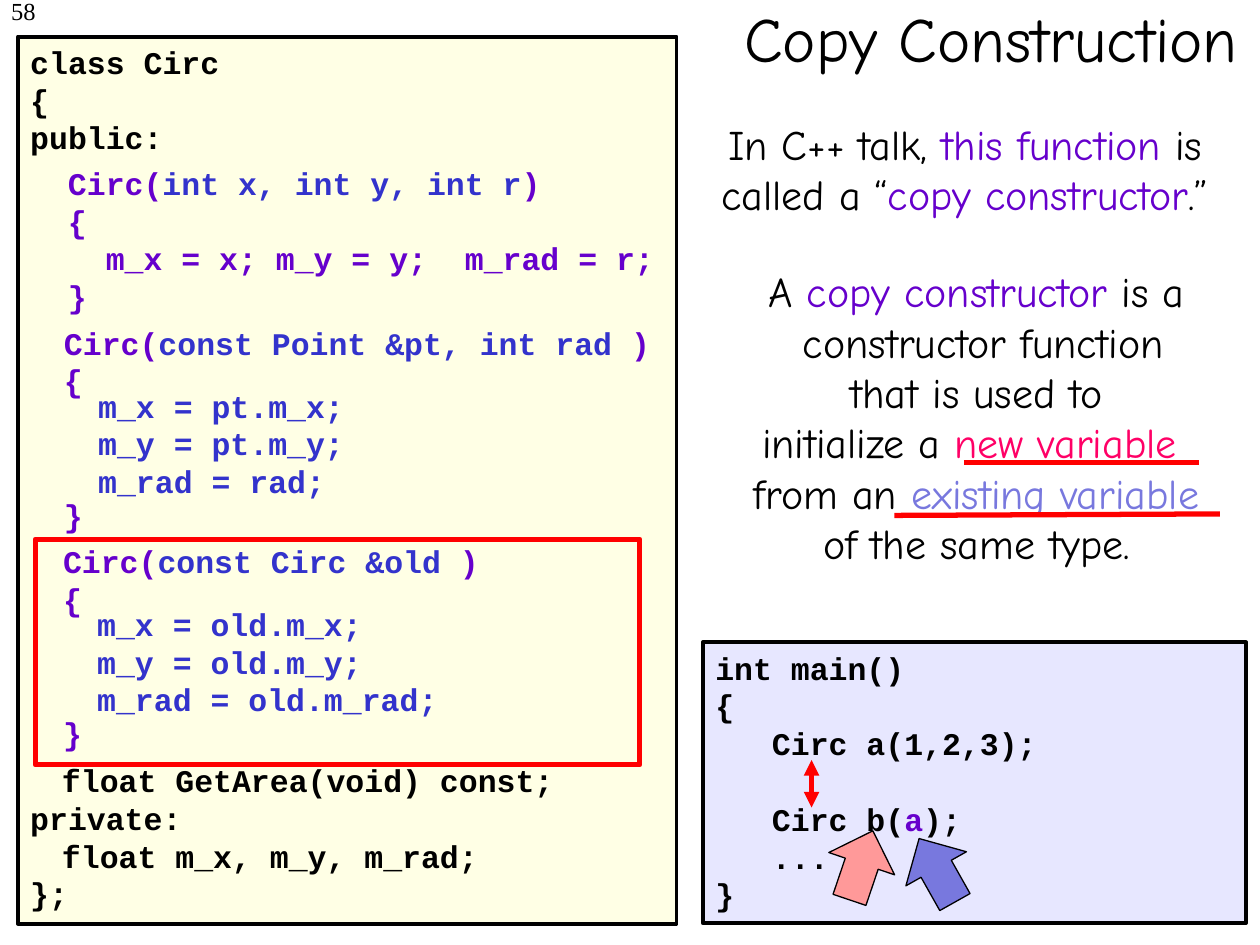
"""Build the Copy Construction slide."""
from lxml import etree
from pptx import Presentation
from pptx.dml.color import RGBColor
from pptx.enum.shapes import MSO_CONNECTOR, MSO_SHAPE
from pptx.enum.text import MSO_ANCHOR, PP_ALIGN
from pptx.oxml.ns import qn
from pptx.util import Cm, Pt

BLACK, PURPLE, BLUE, RED = "000000", "6600CC", "3333CC", "FF0000"
LILAC, PINK = "7878DE", "FF0066"
CHAR = 0.381
LINE = 21.6


def rgb(color):
    return RGBColor.from_string(color)


def write(sp, lines, font="Courier New", size=18, align=PP_ALIGN.LEFT):
    tf = sp.text_frame
    tf.word_wrap = True
    code = font == "Courier New"
    for i, (indent, before, runs) in enumerate(lines):
        p = tf.paragraphs[0] if i == 0 else tf.add_paragraph()
        p.alignment = align
        p.space_before = Pt(before)
        if code:
            p.line_spacing = Pt(LINE)
        if indent:
            p._p.get_or_add_pPr().set("marL", str(Cm(indent)))
        for text, color in runs:
            if text == "\n":
                p.add_line_break()
                continue
            r = p.add_run()
            r.text = text
            r.font.name = font
            r.font.size = Pt(size)
            r.font.bold = code
            r.font.color.rgb = rgb(color)


prs = Presentation()
prs.slide_width, prs.slide_height = Cm(25.4), Cm(19.05)
s = prs.slides.add_slide(prs.slide_layouts[6])

sp = s.shapes.add_textbox(Cm(0), Cm(-0.2), Cm(0.97), Cm(1.27))
sp.text_frame.margin_left = 0
write(sp, [(0, 0, [("58", BLACK)])], "Times New Roman", 14, PP_ALIGN.RIGHT)

sp = s.shapes.add_textbox(Cm(13.28), Cm(-0.84), Cm(13.39), Cm(3.18))
sp.text_frame.vertical_anchor = MSO_ANCHOR.MIDDLE
write(sp, [(0, 0, [("Copy Construction", BLACK)])], "Comic Neue", 36, PP_ALIGN.CENTER)

main_code = [
    (0, 0, [("int main()", BLACK)]),
    (0, 0, [("{", BLACK)]),
    (3 * CHAR, 0, [("Circ a(1,2,3);", BLACK)]),
    (3 * CHAR, LINE, [("Circ b(", BLACK), ("a", PURPLE), (");", BLACK)]),
    (3 * CHAR, 0, [("...", BLACK)]),
    (0, 0, [("}", BLACK)]),
]
class_code = [
    (0, 0, [("class Circ", BLACK)]),
    (0, 0, [("{", BLACK)]),
    (0, 0, [("public:", BLACK)]),
    (0.64, 16 * LINE, [("float GetArea(void) const;", BLACK)]),
    (0, 0, [("private:", BLACK)]),
    (0.64, 0, [("float m_x, m_y, m_rad;", BLACK)]),
    (0, 0, [("};", BLACK)]),
]
for x, y, w, h, fill, lines in [
    (14.17, 12.95, 10.95, 5.66, "E7E7FF", main_code),
    (0.36, 0.74, 13.28, 17.88, "FFFFE5", class_code),
]:
    sp = s.shapes.add_shape(MSO_SHAPE.RECTANGLE, Cm(x), Cm(y), Cm(w), Cm(h))
    sp.shadow.inherit = False
    sp.fill.solid()
    sp.fill.fore_color.rgb = rgb(fill)
    sp.line.color.rgb = rgb(BLACK)
    sp.line.width = Pt(2.25)
    sp.text_frame.vertical_anchor = MSO_ANCHOR.TOP
    write(sp, lines)

sp = s.shapes.add_textbox(Cm(0.74), Cm(3.18), Cm(13), Cm(3.3))
write(sp, [
    (CHAR, 0, [("Circ(", PURPLE), ("int x, int y, int r", BLUE), (")", PURPLE)]),
    (CHAR, 0, [("{", PURPLE)]),
    (3 * CHAR, 0, [("m_x = x; m_y = y;  m_rad = r;", PURPLE)]),
    (CHAR, 0, [("}", PURPLE)]),
])

for x, y, args, body in [
    (0.64, 10.8, "const Circ &old", ["m_x = old.m_x;", "m_y = old.m_y;", "m_rad = old.m_rad;"]),
    (0.66, 6.4, "const Point &pt, int rad", ["m_x = pt.m_x;", "m_y = pt.m_y;", "m_rad = rad;"]),
]:
    sp = s.shapes.add_textbox(Cm(x), Cm(y), Cm(13), Cm(4.5))
    write(sp, [
        (CHAR, 0, [("Circ(", PURPLE), (args, BLUE), (" )", PURPLE)]),
        (CHAR, 0, [("{", PURPLE)]),
        (CHAR, 2 * LINE + 12, [("}", PURPLE)]),
    ])
    sp = s.shapes.add_textbox(Cm(x + 1.07), Cm(y + 1.27), Cm(8.97), Cm(2.54))
    write(sp, [(0, 0, [(text, BLUE)]) for text in body])

sp = s.shapes.add_textbox(Cm(13.46), Cm(2.26), Cm(11.99), Cm(2.29))
write(sp, [(0, 0, [
    ("In C++ talk, ", BLACK), ("this function", PURPLE), (" is called a “", BLACK),
    ("copy constructor", PURPLE), (".”", BLACK),
])], "Comic Neue", 24, PP_ALIGN.CENTER)

sp = s.shapes.add_shape(MSO_SHAPE.RECTANGLE, Cm(0.71), Cm(10.87), Cm(12.19), Cm(4.55))
sp.shadow.inherit = False
sp.fill.background()
sp.line.color.rgb = rgb(RED)
sp.line.width = Pt(3)

sp = s.shapes.add_textbox(Cm(13.69), Cm(5.23), Cm(11.99), Cm(6.4))
write(sp, [
    (0, 0, [("A ", BLACK), ("copy constructor", PURPLE), (" is a", BLACK)]),
    (0, 0, [(" constructor function", BLACK)]),
    (0, 0, [("that is used to", BLACK)]),
    (0, 0, [("initialize a ", BLACK), ("new variable ", PINK), ("\n", PINK),
            ("from an ", BLACK), ("existing variable", LILAC)]),
    (0, 0, [("of the same type.", BLACK)]),
], "Comic Neue", 24, PP_ALIGN.CENTER)

for x1, y1, x2, y2, arrow in [
    (19.43, 9.32, 24.18, 9.32, False),
    (18.03, 10.39, 24.59, 10.36, False),
    (16.36, 15.32, 16.36, 16.28, True),
]:
    sp = s.shapes.add_connector(MSO_CONNECTOR.STRAIGHT, Cm(x1), Cm(y1), Cm(x2), Cm(y2))
    sp.line.color.rgb = rgb(RED)
    sp.line.width = Pt(3)
    if arrow:
        ln = sp.line._get_or_add_ln()
        for end in ("a:headEnd", "a:tailEnd"):
            etree.SubElement(ln, qn(end), type="triangle")
    etree.SubElement(sp._element.spPr, qn("a:effectLst"))

for x, y, angle, fill in [(16.66, 16.71, 18.7, "FF9999"), (18.19, 16.81, 330.6, LILAC)]:
    sp = s.shapes.add_shape(MSO_SHAPE.UP_ARROW, Cm(x), Cm(y), Cm(1.4), Cm(1.47))
    sp.shadow.inherit = False
    sp.rotation = angle
    sp.fill.solid()
    sp.fill.fore_color.rgb = rgb(fill)
    sp.line.color.rgb = rgb(BLACK)
    sp.line.width = Pt(0.75)

prs.save("out.pptx")
